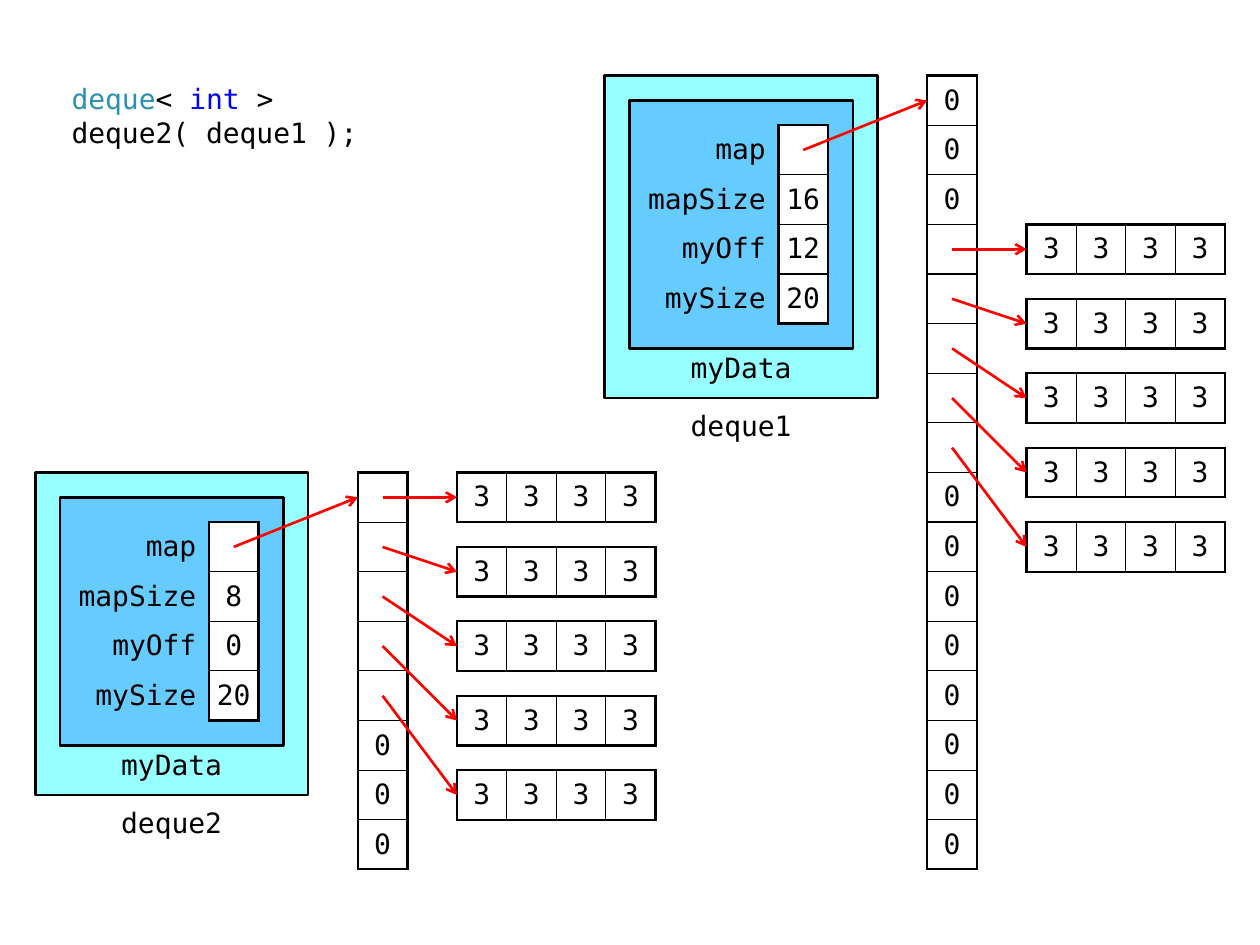
import dataclasses
import typing

import lxml.etree
import pptx
import pptx.dml.color
import pptx.enum.shapes
import pptx.enum.text
import pptx.oxml.ns
import pptx.util

Inches = pptx.util.Inches
Align = pptx.enum.text.PP_ALIGN
Anchor = pptx.enum.text.MSO_ANCHOR


@dataclasses.dataclass(frozen=True)
class Theme:
    """Colours, font and sizes of the slide."""
    black: str = "000000"
    white: str = "FFFFFF"
    arrow: str = "FF0000"
    outer: str = "96FFFF"
    inner: str = "66CCFF"
    type_name: str = "2B91AF"
    keyword: str = "0000FF"
    font: str = "DejaVu Sans Mono"
    size: float = 16
    thick: float = 1.5
    thin: float = 0.75


@dataclasses.dataclass(frozen=True)
class Deque:
    """One deque: its corner in inches, field values and map entries."""
    name: str
    left: float
    top: float
    values: tuple[str, ...]
    entries: tuple[str, ...]

    def at(self, column: float, row: float) -> tuple[int, int]:
        """Return the slide position of a point given in grid cells."""
        return Inches(self.left + column * CELL), Inches(self.top + row * CELL)


THEME = Theme()
CELL = 6.3 / 16
MAP_COLUMN, BLOCK_COLUMN = 6.5, 8.5
BLOCK_COUNT, BLOCK_STEP = 5, 1.5
BLOCK = ("3",) * 4
FIELDS = ("map", "mapSize", "myOff", "mySize")
NO_STYLE = "{2D5ABB26-0587-4C30-8999-92F81FD0307C}"
POINTERS = ("",) * BLOCK_COUNT
DEQUES = (
    Deque("deque1", 4.8, 0.6, ("", "16", "12", "20"), ("0",) * 3 + POINTERS + ("0",) * 8),
    Deque("deque2", 0.28, 3.75, ("", "8", "0", "20"), POINTERS + ("0",) * 3),
)


def rgb(colour: str) -> pptx.dml.color.RGBColor:
    """Turn a hex string into a colour."""
    return pptx.dml.color.RGBColor.from_string(colour)


def cells(count: float) -> int:
    """Return the length of a number of grid cells."""
    return Inches(count * CELL)


def add_element(parent: typing.Any, tag: str, **attributes: str) -> typing.Any:
    """Append a DrawingML element to a parent."""
    return lxml.etree.SubElement(parent, pptx.oxml.ns.qn(tag), **attributes)


def style_span(span: typing.Any, colour: str = THEME.black) -> None:
    """Give a run the font, size and colour."""
    span.font.name = THEME.font
    span.font.size = pptx.util.Pt(THEME.size)
    span.font.color.rgb = rgb(colour)


def set_text(frame: typing.Any, text: str, align: Align = Align.CENTER) -> None:
    """Write one aligned paragraph."""
    frame.text = text
    para = frame.paragraphs[0]
    para.alignment = align
    for span in para.runs:
        style_span(span)
    if not text:
        add_element(para._p, "a:endParaRPr", sz=str(int(THEME.size * 100)))


def add_heading(page: typing.Any) -> None:
    """Add the coloured line of code."""
    box = page.shapes.add_textbox(Inches(0.47), Inches(0.6), Inches(4.13), cells(1))
    box.text_frame.word_wrap = True
    para = box.text_frame.paragraphs[0]
    para.space_before = pptx.util.Pt(3)
    for text, colour in (("deque", THEME.type_name), ("< ", THEME.black),
                         ("int ", THEME.keyword), ("> deque2( deque1 );", THEME.black)):
        span = para.add_run()
        span.text = text
        style_span(span, colour)


def add_box(page: typing.Any, corner: tuple[int, int], columns: float, rows: float,
            fill: str) -> None:
    """Add an outlined rectangle."""
    box = page.shapes.add_shape(pptx.enum.shapes.MSO_SHAPE.FLOWCHART_PROCESS,
                                *corner, cells(columns), cells(rows))
    box.shadow.inherit = False
    box.fill.solid()
    box.fill.fore_color.rgb = rgb(fill)
    box.line.color.rgb = rgb(THEME.black)
    box.line.width = pptx.util.Pt(THEME.thick)


def add_label(page: typing.Any, corner: tuple[int, int], columns: float, text: str,
              anchor: Anchor, inset: float) -> None:
    """Add a centred caption, one cell high."""
    box = page.shapes.add_textbox(*corner, cells(columns), cells(1))
    frame = box.text_frame
    frame.word_wrap = True
    frame.vertical_anchor = anchor
    frame.margin_left = frame.margin_right = Inches(0.08)
    frame.margin_top, frame.margin_bottom = Inches(inset), 0
    set_text(frame, text)


def add_arrow(page: typing.Any, start: tuple[int, int], end: tuple[int, int]) -> None:
    """Add a pointer arrow."""
    arrow = page.shapes.add_connector(pptx.enum.shapes.MSO_CONNECTOR.STRAIGHT, *start, *end)
    arrow.line.color.rgb = rgb(THEME.arrow)
    arrow.line.width = pptx.util.Pt(THEME.thick)
    add_element(arrow.line._get_or_add_ln(), "a:tailEnd", type="arrow")
    add_element(arrow._element.spPr, "a:effectLst")


def set_borders(cell: typing.Any, outer_sides: dict[str, bool]) -> None:
    """Draw cell borders, thick on the outer sides."""
    properties = cell._tc.get_or_add_tcPr()
    for index, (side, outer) in enumerate(outer_sides.items()):
        width = pptx.util.Pt(THEME.thick if outer else THEME.thin)
        line = add_element(properties, f"a:ln{side}", w=str(int(width)))
        add_element(add_element(line, "a:solidFill"), "a:srgbClr", val=THEME.black)
        properties.insert(index, line)


def add_grid(page: typing.Any, corner: tuple[int, int], rows: typing.Sequence[tuple[str, ...]],
             labelled: bool = False) -> None:
    """Add a table of bordered cells, with an optional column of row names."""
    widths = [3 if labelled and index == 0 else 1 for index in range(len(rows[0]))]
    table_frame = page.shapes.add_table(len(rows), len(widths), *corner,
                                        cells(sum(widths)), cells(len(rows)))
    table = table_frame.table
    table.first_row = table.horz_banding = False
    table._tbl.tblPr.find(pptx.oxml.ns.qn("a:tableStyleId")).text = NO_STYLE
    for column, width in zip(table.columns, widths):
        column.width = cells(width)
    for row in table.rows:
        row.height = cells(1)
    first = 1 if labelled else 0
    for row, texts in enumerate(rows):
        for column, text in enumerate(texts):
            cell = table.cell(row, column)
            is_name = column < first
            cell.margin_left = cell.margin_right = Inches(0.1 if is_name else 0)
            cell.margin_top = cell.margin_bottom = Inches(0.04)
            cell.vertical_anchor = Anchor.MIDDLE
            set_text(cell.text_frame, text, Align.RIGHT if is_name else Align.CENTER)
            if labelled and not is_name:
                cell.fill.solid()
                cell.fill.fore_color.rgb = rgb(THEME.white)
            else:
                cell.fill.background()
            if not is_name:
                set_borders(cell, {"L": column == first, "R": column == len(widths) - 1,
                                   "T": row == 0, "B": row == len(rows) - 1})


def add_deque(page: typing.Any, deque: Deque) -> None:
    """Draw a deque with its map and blocks."""
    add_box(page, deque.at(0, 0), 5.5, 6.5, THEME.outer)
    add_box(page, deque.at(0.5, 0.5), 4.5, 5, THEME.inner)
    add_label(page, deque.at(1, 6.5), 3.5, deque.name, Anchor.MIDDLE, 0.04)
    add_label(page, deque.at(1.5, 5.5), 2.5, "myData", Anchor.TOP, 0.02)
    add_grid(page, deque.at(0.5, 1), list(zip(FIELDS, deque.values)), labelled=True)
    add_grid(page, deque.at(MAP_COLUMN, 0), [(entry,) for entry in deque.entries])
    add_arrow(page, deque.at(4, 1.5), deque.at(MAP_COLUMN, 0.5))
    first = deque.entries.index("")
    for index in range(BLOCK_COUNT):
        block_row = first + index * BLOCK_STEP
        add_grid(page, deque.at(BLOCK_COLUMN, block_row), [BLOCK])
        add_arrow(page, deque.at(MAP_COLUMN + 0.5, first + index + 0.5),
                  deque.at(BLOCK_COLUMN, block_row + 0.5))


def main() -> None:
    """Build and save the deck."""
    deck = pptx.Presentation()
    deck.slide_width, deck.slide_height = Inches(10), Inches(7.5)
    page = deck.slides.add_slide(deck.slide_layouts[6])
    add_heading(page)
    for deque in DEQUES:
        add_deque(page, deque)
    deck.save("out.pptx")


main()
